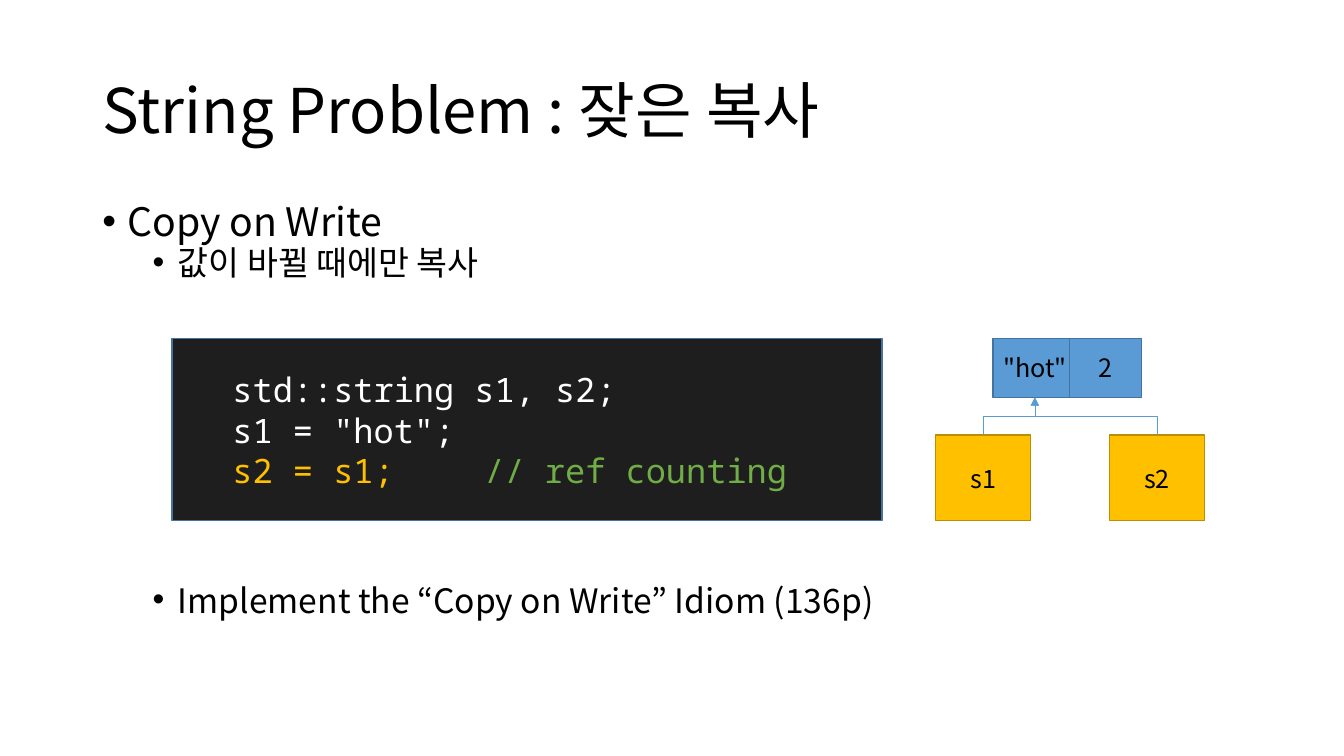
from dataclasses import dataclass
from lxml.etree import SubElement
from pptx import Presentation
from pptx.dml.color import RGBColor
from pptx.enum.shapes import MSO_CONNECTOR, MSO_SHAPE
from pptx.enum.text import MSO_ANCHOR, PP_ALIGN
from pptx.oxml.ns import qn
from pptx.util import Inches, Pt


@dataclass(frozen=True)
class Theme:
    sans: str = "Noto Sans CJK KR"
    mono: str = "Noto Sans Mono"
    ink: str = "000000"
    code_ink: str = "FFFFFF"
    code_fill: str = "1E1E1E"
    blue: str = "5B9BD5"
    blue_edge: str = "43739E"
    gold: str = "FFC000"
    gold_edge: str = "BD8E00"
    green: str = "70AD47"
    title_size: int = 44
    topic_size: int = 28
    point_size: int = 24
    node_size: int = 18


theme = Theme()
# Grid of 160 columns by 90 rows, square cells
COLUMNS, ROWS = 160, 90
deck = Presentation()
deck.slide_width, deck.slide_height = Inches(13.333), Inches(7.5)
cell = deck.slide_height / ROWS
slide = deck.slides.add_slide(deck.slide_layouts[6])


def add_words(paragraph, words, size, color, font=theme.sans):
    run = paragraph.add_run()
    run.text = words
    run.font.size = Pt(size)
    run.font.name = font
    run.font.color.rgb = RGBColor.from_string(color)
    SubElement(run.font._element, qn("a:ea"), typeface=font)


def add_box(shapes, place, fill, edge):
    box = shapes.add_shape(MSO_SHAPE.RECTANGLE, *[round(n * cell) for n in place])
    box.shadow.inherit = False
    box.fill.solid()
    box.fill.fore_color.rgb = RGBColor.from_string(fill)
    box.line.color.rgb = RGBColor.from_string(edge)
    box.line.width = Pt(1)
    box.text_frame.word_wrap = True
    box.text_frame.vertical_anchor = MSO_ANCHOR.MIDDLE
    return box.text_frame


# Title and bullet list share the same margins
margin = 11
title, points = [
    slide.shapes.add_textbox(*[round(n * cell) for n in
                               (margin, top, COLUMNS - 2 * margin, height)]).text_frame
    for top, height in ((4.8, 17.4), (24, 57))]
title.word_wrap = points.word_wrap = True
title.vertical_anchor = MSO_ANCHOR.MIDDLE
title.paragraphs[0].line_spacing = 0.9
add_words(title.paragraphs[0], "String Problem : 잦은 복사", theme.title_size, theme.ink)

# Bullets: level, space before, size, wording; the last one clears the diagram
bullets = [
    (0, 0, theme.topic_size, "Copy on Write"),
    (1, 4, theme.point_size, "값이 바뀔 때에만 복사"),
    (1, 218, theme.point_size, "Implement the “Copy on Write” Idiom (136p)"),
]
for number, (level, gap, size, words) in enumerate(bullets):
    point = points.add_paragraph() if number else points.paragraphs[0]
    point.level = level
    point.line_spacing = 0.8
    point.space_before = Pt(gap)
    layout = point._p.get_or_add_pPr()
    layout.set("marL", str(Inches(0.25 + 0.5 * level)))
    layout.set("indent", str(Inches(-0.25)))
    SubElement(layout, qn("a:buFont"), typeface="Arial")
    SubElement(layout, qn("a:buChar"), char="•")
    add_words(point, words, size, theme.ink)

# Code panel
diagram_top, diagram_bottom = 40.3, 62
code = add_box(slide.shapes, (20.5, diagram_top, 84.5, diagram_bottom - diagram_top),
               theme.code_fill, theme.blue_edge)
code_lines = [
    [("std::string s1, s2;", theme.code_ink)],
    [('s1 = "hot";', theme.code_ink)],
    [("s2 = s1;\t\t", theme.gold), ("// ref counting", theme.green)],
]
for number, pieces in enumerate(code_lines):
    code_line = code.add_paragraph() if number else code.paragraphs[0]
    code_line.level = 1
    code_line.alignment = PP_ALIGN.LEFT
    code_line._p.get_or_add_pPr().set("marL", str(Inches(0.5)))
    for words, color in pieces:
        add_words(code_line, words, theme.point_size, color, theme.mono)

# Variables s1 and s2, and the shared value with its count
variable_width, variable_height, value_height = 11.3, 10.2, 7
variable_top = diagram_bottom - variable_height
variables = {"s1": 111.4, "s2": 132.1}
shared = slide.shapes.add_group_shape().shapes
nodes = [(slide.shapes, name, (left, variable_top, variable_width, variable_height),
          theme.gold, theme.gold_edge) for name, left in variables.items()]
nodes += [(shared, name, (left, diagram_top, width, value_height),
           theme.blue, theme.blue_edge)
          for name, left, width in (('"hot"', 118.2, 10.1), ("2", 127.3, 8.6))]
for shapes, name, place, fill, edge in nodes:
    label = add_box(shapes, place, fill, edge).paragraphs[0]
    label.alignment = PP_ALIGN.CENTER
    add_words(label, name, theme.node_size, theme.ink)

# Elbow arrows: each is laid out sideways, then turned to leave upwards
target_x, target_y = 123.2, diagram_top + value_height
rise = variable_top - target_y
middle_y = target_y + rise / 2
for left in variables.values():
    start_x = left + variable_width / 2
    run_length, middle_x = target_x - start_x, (start_x + target_x) / 2
    ends = (middle_x - rise / 2, middle_y - run_length / 2,
            middle_x + rise / 2, middle_y + run_length / 2)
    reference = slide.shapes.add_connector(MSO_CONNECTOR.ELBOW,
                                           *[round(n * cell) for n in ends])
    reference.line.color.rgb = RGBColor.from_string(theme.blue)
    reference.line.width = Pt(0.5)
    properties = reference._element.spPr
    properties.find(qn("a:xfrm")).set("rot", str(270 * 60000))
    SubElement(properties.find(qn("a:ln")), qn("a:tailEnd"), type="triangle")
    SubElement(properties, qn("a:effectLst"))

deck.save("out.pptx")
